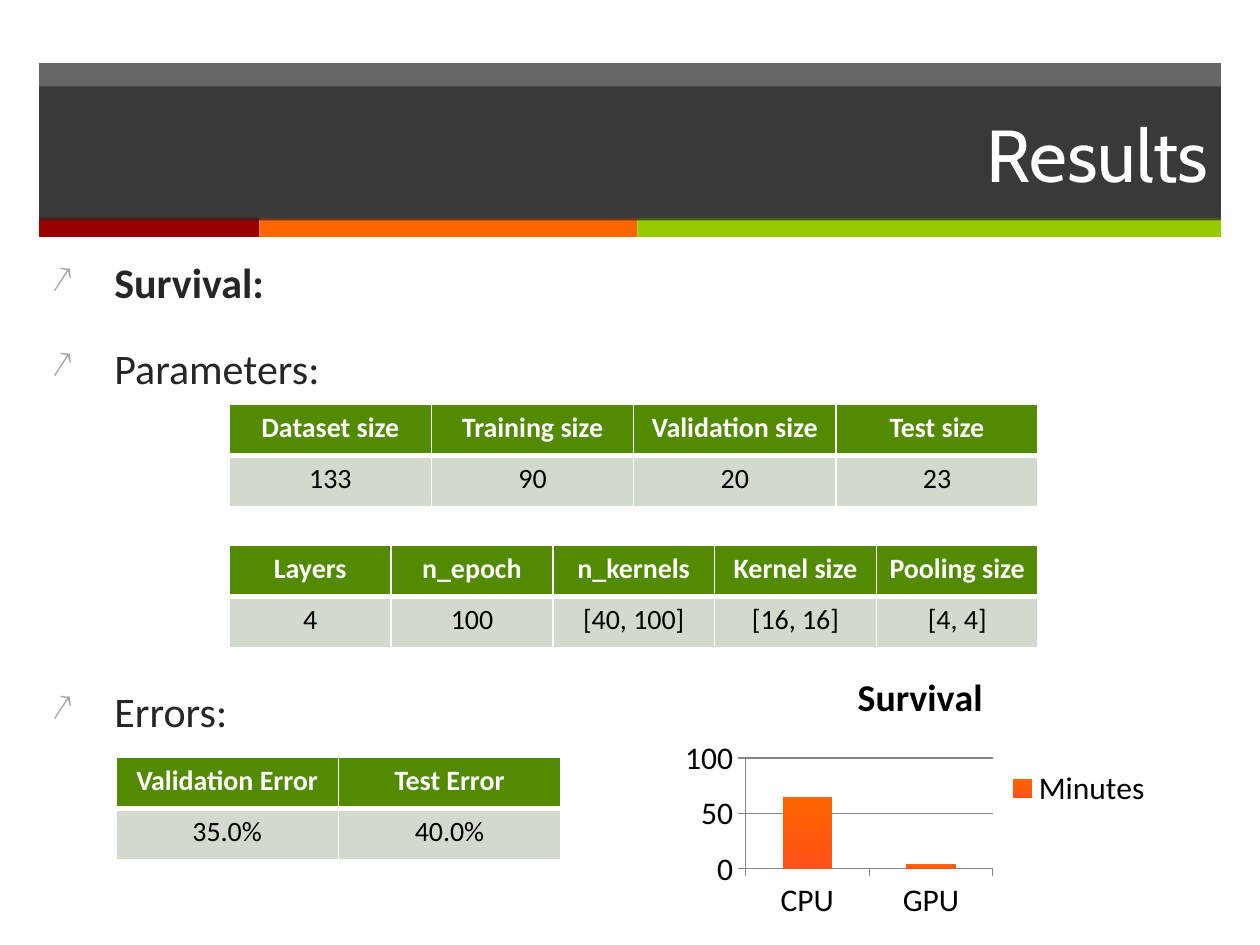
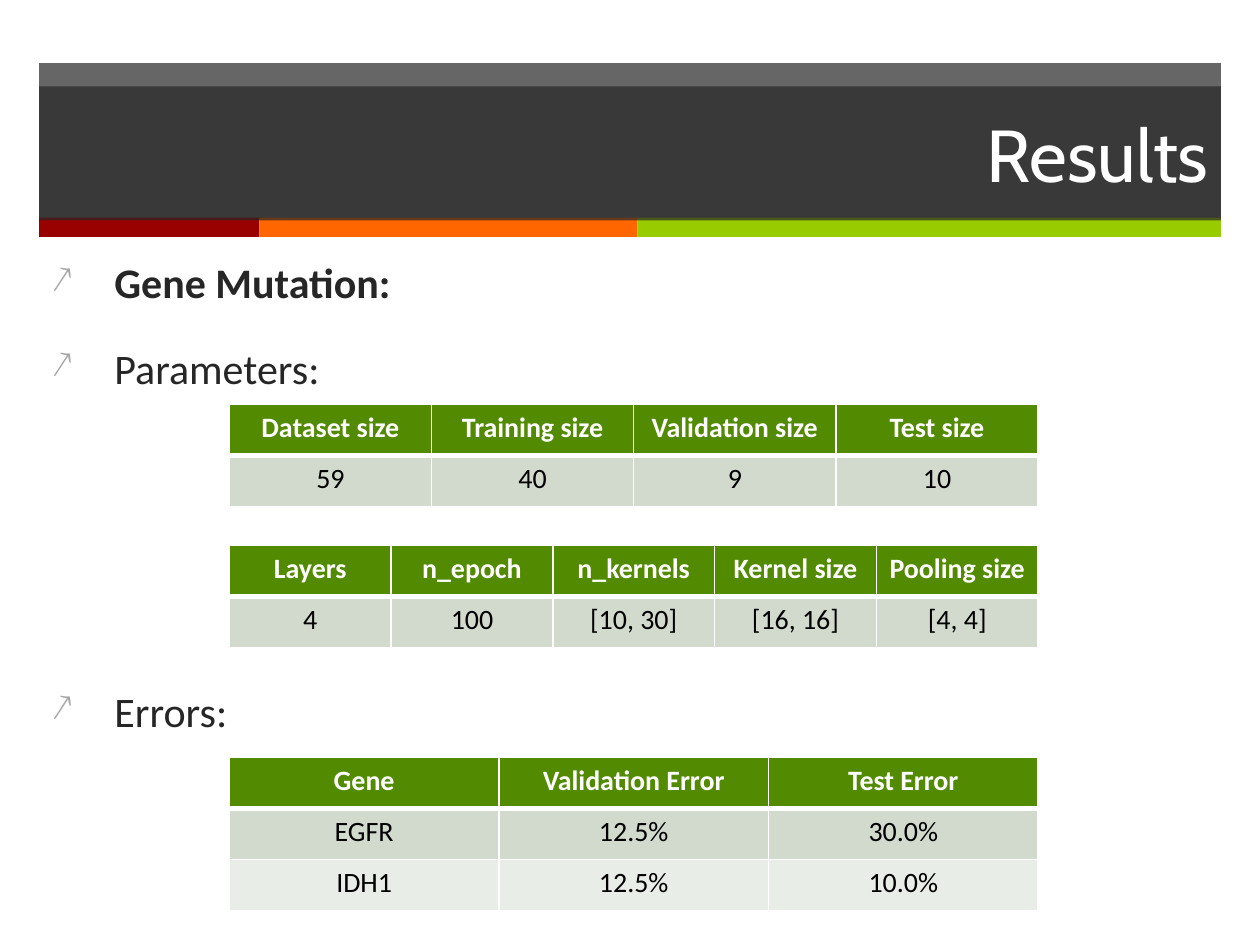
from lxml import etree
from pptx import Presentation
from pptx.chart.data import CategoryChartData
from pptx.dml.color import RGBColor
from pptx.enum.chart import XL_CHART_TYPE, XL_LEGEND_POSITION, XL_TICK_MARK
from pptx.enum.shapes import MSO_SHAPE
from pptx.enum.text import MSO_ANCHOR, MSO_AUTO_SIZE, PP_ALIGN
from pptx.oxml.ns import qn
from pptx.util import Inches, Pt

RECT = MSO_SHAPE.RECTANGLE
MIDDLE = MSO_ANCHOR.MIDDLE
NO_FIT = MSO_AUTO_SIZE.NONE
CENTER, RIGHT = PP_ALIGN.CENTER, PP_ALIGN.RIGHT
COLUMNS = XL_CHART_TYPE.COLUMN_CLUSTERED
LEGEND_RIGHT = XL_LEGEND_POSITION.RIGHT
TICK_OUT = XL_TICK_MARK.OUTSIDE

COLORS = {
    "band": "262626", "red": "990000", "orange": "FF6600", "lime": "99CC00",
    "white": "FFFFFF", "black": "000000", "bullet": "A6A6A6",
    "head": "528A02", "odd": "D1DACC", "even": "E9EDE7",
    "bar_end": "FF5018", "axis": "868686",
}
TITLE_FONT, BODY_FONT = "Cabin", "Calibri"
HEADER = (0.31, 0.5, 9.38, 1.38)
BODY = (0.31, 1.99, 8.94, 5.22)
STRIPES = (("red", 1.75), ("orange", 3), ("lime", 4.63))
ROW_H = 0.407
TABLE_X, TABLE_W = 1.82, 6.42
SIZES_Y, NETWORK_Y, ERRORS_Y = 3.21, 4.33, 6.01
SIZES_HEAD = ("Dataset size", "Training size", "Validation size", "Test size")
NETWORK_HEAD = ("Layers", "n_epoch", "n_kernels", "Kernel size", "Pooling size")
ERRORS_HEAD = ("Validation Error", "Test Error")


def rgb(name):
    """Return the named colour."""
    return RGBColor.from_string(COLORS[name])


def inches(*lengths):
    """Convert lengths in inches to EMU."""
    return [Inches(v) for v in lengths]


def style(font, size, color, name=BODY_FONT, bold=False):
    """Format a font."""
    font.name, font.size, font.bold = name, Pt(size), bold
    font.color.rgb = rgb(color)


def fill(shape, color, alpha=None):
    """Fill a shape without outline, optionally with an opacity in percent."""
    shape.fill.solid()
    shape.fill.fore_color.rgb = rgb(color)
    shape.line.fill.background()
    shape.shadow.inherit = False
    if alpha:
        clr = shape.element.spPr.find(qn("a:solidFill"))[0]
        etree.SubElement(clr, qn("a:alpha"), val=str(alpha * 1000))


def add_header(slide, box, text):
    """Draw the dark band, the colour stripes and the title."""
    x, y, w, h = box
    band = slide.shapes.add_shape(RECT, *inches(x, y, w, h * 0.9))
    fill(band, "band", 70)
    left = x
    for color, width in STRIPES:
        stripe = slide.shapes.add_shape(RECT, *inches(left, y + h * 0.89, width, h * 0.11))
        fill(stripe, color)
        left += width
    title = slide.shapes.title
    title.left, title.top, title.width, title.height = inches(
        x, y + h * 0.135, w, h * 0.77)
    fill(title, "band", 70)
    title.element.getparent().append(title.element)
    tf = title.text_frame
    tf.text = text
    tf.auto_size, tf.vertical_anchor = NO_FIT, MIDDLE
    p = tf.paragraphs[0]
    p.alignment = RIGHT
    style(p.runs[0].font, 42, "white", TITLE_FONT)


def add_bullet(p):
    """Give a paragraph a hanging arrow bullet."""
    pPr = p._p.get_or_add_pPr()
    pPr.set("marL", str(Inches(0.5)))
    pPr.set("indent", str(-Inches(0.5)))
    clr = etree.SubElement(pPr, qn("a:buClr"))
    etree.SubElement(clr, qn("a:srgbClr"), val=COLORS["bullet"])
    etree.SubElement(pPr, qn("a:buSzPct"), val="90000")
    etree.SubElement(pPr, qn("a:buChar"), char="↗")


def add_headings(slide, box, topic):
    """Write the bulleted headings, leaving room for the tables."""
    tf = slide.shapes.add_textbox(*inches(*box)).text_frame
    tf.word_wrap = True
    headings = ((topic, 20), ("Parameters:", 20), ("Errors:", 167))
    for i, (text, gap) in enumerate(headings):
        p = tf.add_paragraph() if i else tf.paragraphs[0]
        p.text = text
        p.space_before = Pt(gap)
        add_bullet(p)
        style(p.runs[0].font, 24, "band", bold=i == 0)


def set_borders(cell, top, bottom):
    """Draw white cell borders, with top and bottom widths in points."""
    tcPr = cell._tc.get_or_add_tcPr()
    sides = (("L", 1), ("R", 1), ("T", top), ("B", bottom))
    for i, (side, width) in enumerate(sides):
        ln = etree.Element(qn(f"a:ln{side}"), w=str(Pt(width)))
        solid = etree.SubElement(ln, qn("a:solidFill"))
        etree.SubElement(solid, qn("a:srgbClr"), val=COLORS["white"])
        tcPr.insert(i, ln)


def add_table(slide, x, y, w, rows):
    """Add a table with a green header row and equal columns."""
    n_rows, n_cols = len(rows), len(rows[0])
    frame = slide.shapes.add_table(n_rows, n_cols, *inches(x, y, w, ROW_H * n_rows))
    for r, row in enumerate(rows):
        for c, text in enumerate(row):
            cell = frame.table.cell(r, c)
            cell.text = text
            cell.fill.solid()
            cell.fill.fore_color.rgb = rgb("head" if r == 0 else "odd" if r % 2 else "even")
            set_borders(cell, 3 if r == 1 else 1, 3 if r == 0 else 1)
            p = cell.text_frame.paragraphs[0]
            p.alignment = CENTER
            style(p.runs[0].font, 16, "black" if r else "white", bold=r == 0)


def add_runtime_chart(slide, box):
    """Add the column chart of CPU and GPU minutes."""
    data = CategoryChartData()
    data.categories = ("CPU", "GPU")
    data.add_series("Minutes", (65, 4))
    chart = slide.shapes.add_chart(COLUMNS, *inches(*box), data).chart
    style(chart.font, 18, "black")
    chart.has_title = True
    chart.chart_title.text_frame.text = "Survival"
    style(chart.chart_title.text_frame.paragraphs[0].runs[0].font, 21.6, "black", bold=True)
    chart.has_legend = True
    chart.legend.position = LEGEND_RIGHT
    chart.legend.include_in_layout = False
    plot = chart.plots[0]
    plot.gap_width, plot.vary_by_categories = 150, False
    bars = plot.series[0].format.fill
    bars.gradient()
    bars.gradient_angle = 270
    for stop, color in zip(bars.gradient_stops, ("orange", "bar_end")):
        stop.color.rgb = rgb(color)
    values = chart.value_axis
    values.minimum_scale, values.maximum_scale, values.major_unit = 0, 100, 50
    values.has_major_gridlines = True
    for axis in (values, chart.category_axis):
        axis.major_tick_mark = TICK_OUT
        axis.format.line.color.rgb = rgb("axis")
    values.major_gridlines.format.line.color.rgb = rgb("axis")


def add_results_slide(prs, topic, sizes, network):
    """Add a results slide with its headings and parameter tables."""
    slide = prs.slides.add_slide(prs.slide_layouts[5])
    add_header(slide, HEADER, "Results")
    add_headings(slide, BODY, topic)
    add_table(slide, TABLE_X, SIZES_Y, TABLE_W, (SIZES_HEAD, sizes))
    add_table(slide, TABLE_X, NETWORK_Y, TABLE_W, (NETWORK_HEAD, network))
    return slide


def main():
    """Build the deck."""
    prs = Presentation()
    prs.slide_width, prs.slide_height = inches(10, 7.5)

    survival = add_results_slide(
        prs, "Survival:", ("133", "90", "20", "23"),
        ("4", "100", "[40, 100]", "[16, 16]", "[4, 4]"))
    add_table(survival, 0.92, ERRORS_Y, 3.53, (ERRORS_HEAD, ("35.0%", "40.0%")))
    add_runtime_chart(survival, (5.36, 5.17, 3.89, 2.17))

    mutation = add_results_slide(
        prs, "Gene Mutation:", ("59", "40", "9", "10"),
        ("4", "100", "[10, 30]", "[16, 16]", "[4, 4]"))
    add_table(mutation, TABLE_X, ERRORS_Y, TABLE_W, (
        ("Gene", *ERRORS_HEAD),
        ("EGFR", "12.5%", "30.0%"),
        ("IDH1", "12.5%", "10.0%")))

    prs.save("out.pptx")


if __name__ == "__main__":
    main()
